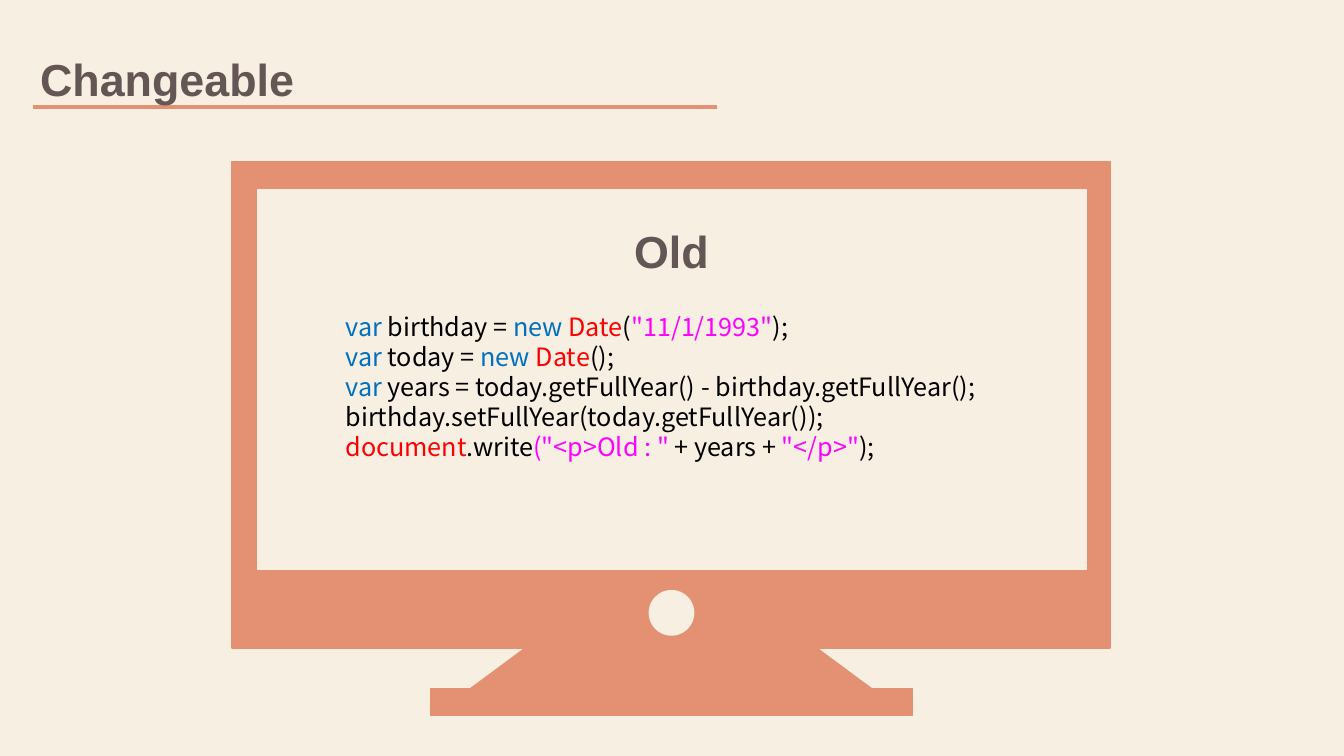
import pptx
import pptx.util
import pptx.dml.color
import pptx.enum.shapes
import pptx.enum.text
import lxml.etree

Inches = pptx.util.Inches
Pt = pptx.util.Pt
MSO = pptx.enum.shapes.MSO_SHAPE

COLORS = {
    "cream": "F7EFE2", "coral": "E49173", "heading": "645654",
    "keyword": "0070C0", "object": "FF0000", "string": "FF00FF",
    "plain": "000000",
}
HEADING_FONT = "Arial"
CODE_FONT = "Noto Sans CJK KR"

HEADINGS = [
    ("Changeable", (0.3, 0.46, 2.74, 0.64)),
    ("Old", (6.19, 2.17, 0.95, 0.64)),
]
CODE_BOX = (3.33, 3.04, 6.67, 1.62)
CODE = [
    [("var", "keyword"), (" birthday = ", "plain"), ("new ", "keyword"),
     ("Date", "object"), ("(", "plain"), ('"11/1/1993"', "string"),
     (");", "plain")],
    [("var ", "keyword"), ("today = ", "plain"), ("new ", "keyword"),
     ("Date", "object"), ("();", "plain")],
    [("var ", "keyword"),
     ("years = today.getFullYear() - birthday.getFullYear();", "plain")],
    [("birthday.setFullYear(today.getFullYear());", "plain")],
    [("document", "object"), (".write", "plain"),
     ('("<p>Old : " ', "string"), ("+ years + ", "plain"),
     ('"</p>"', "string"), (");", "plain")],
]
MONITOR = [
    (MSO.ISOSCELES_TRIANGLE, (4.48, 5.36, 4.35, 1.61), "coral"),
    (MSO.RECTANGLE, (2.3, 1.6, 8.71, 4.83), "coral"),
    (MSO.RECTANGLE, (2.56, 1.88, 8.21, 3.77), "cream"),
    (MSO.OVAL, (6.44, 5.86, 0.44, 0.44), "cream"),
    (MSO.RECTANGLE, (4.27, 6.83, 4.78, 0.27), "coral"),
]
RULE = (0.33, 1.06, 7.11, 1.06)


def inches(values):
    return [Inches(v) for v in values]


def rgb(name):
    return pptx.dml.color.RGBColor.from_string(COLORS[name])


def add_text(s, box, lines, font, size, bold=False, wrap=False, spacing=None):
    tf = s.shapes.add_textbox(*inches(box)).text_frame
    tf.word_wrap = wrap
    tf.auto_size = pptx.enum.text.MSO_AUTO_SIZE.SHAPE_TO_FIT_TEXT
    for i, line in enumerate(lines):
        p = tf.add_paragraph() if i else tf.paragraphs[0]
        p.line_spacing = spacing
        for text, color in line:
            r = p.add_run()
            r.text = text
            r.font.name = font
            r.font.size = Pt(size)
            r.font.bold = bold
            r.font.color.rgb = rgb(color)


def add_rule(s):
    line = s.shapes.add_connector(
        pptx.enum.shapes.MSO_CONNECTOR.STRAIGHT, *inches(RULE))
    line.line.color.rgb = rgb("coral")
    line.line.width = Pt(3)
    lxml.etree.SubElement(
        line._element.spPr, pptx.oxml.ns.qn("a:effectLst"))


def add_monitor(s):
    group = s.shapes.add_group_shape()
    for kind, box, color in MONITOR:
        sp = group.shapes.add_shape(kind, *inches(box))
        sp.shadow.inherit = False
        sp.fill.solid()
        sp.fill.fore_color.rgb = rgb(color)
        sp.line.color.rgb = rgb(color)
        sp.line.width = Pt(1)


def main():
    prs = pptx.Presentation()
    prs.slide_width, prs.slide_height = inches((13.33, 7.5))
    s = prs.slides.add_slide(prs.slide_layouts[6])
    s.background.fill.solid()
    s.background.fill.fore_color.rgb = rgb("cream")
    add_rule(s)
    add_monitor(s)
    for text, box in HEADINGS:
        add_text(s, box, [[(text, "heading")]], HEADING_FONT, 32, bold=True)
    add_text(s, CODE_BOX, CODE, CODE_FONT, 18, wrap=True, spacing=Pt(21.5))
    prs.save("out.pptx")


if __name__ == "__main__":
    main()
